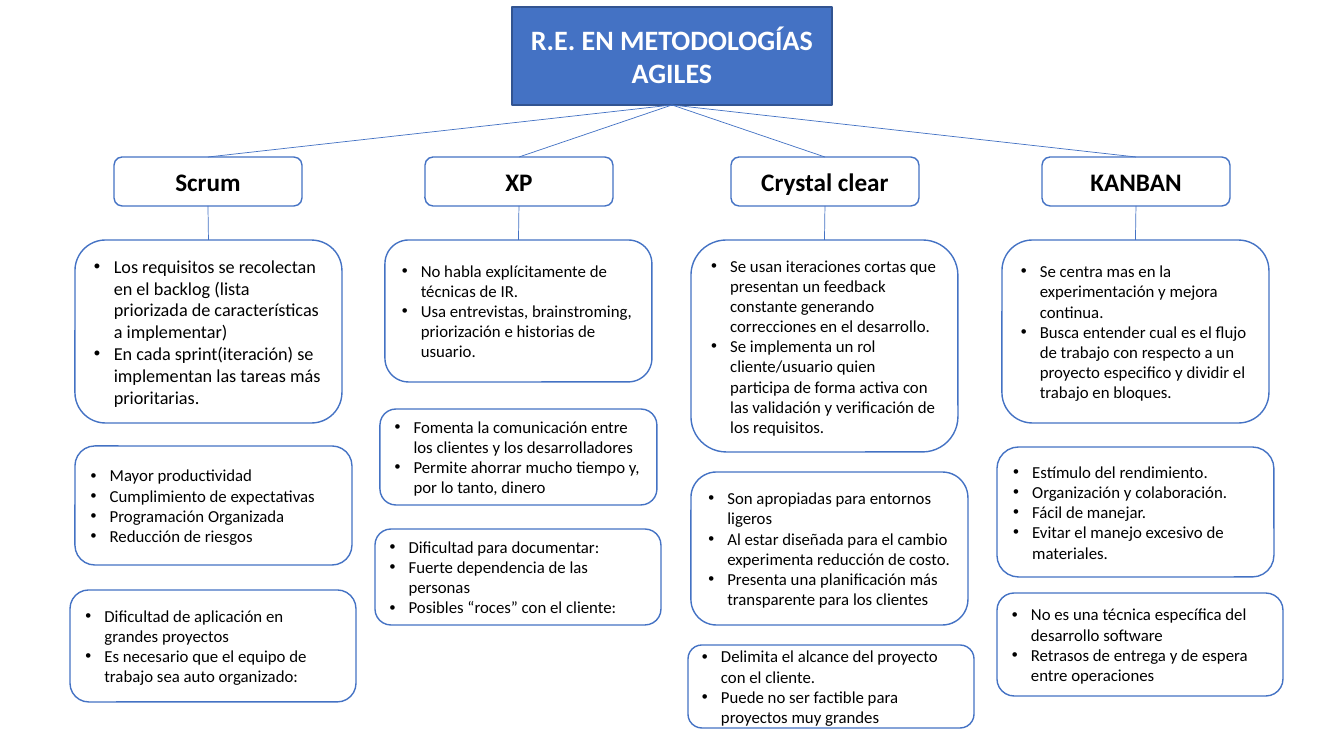
import pptx
import pptx.util
import pptx.dml.color
import pptx.enum.shapes
import pptx.enum.text
import pptx.oxml.ns
import lxml.etree

PX = 914400 / 100.8
FONT = "Calibri"
COLORS = {"blue": "4472C4", "navy": "325491", "white": "FFFFFF", "black": "000000"}
qn = pptx.oxml.ns.qn


def style_box(box, place, fill, line):
    box.left, box.top, box.width, box.height = (round(v * PX) for v in place)
    box.fill.solid()
    box.fill.fore_color.rgb = pptx.dml.color.RGBColor.from_string(COLORS[fill])
    box.line.color.rgb = pptx.dml.color.RGBColor.from_string(COLORS[line])
    box.line.width = pptx.util.Pt(1)
    box.shadow.inherit = False
    box.text_frame.word_wrap = True
    box.text_frame.auto_size = pptx.enum.text.MSO_AUTO_SIZE.NONE
    box.text_frame.vertical_anchor = pptx.enum.text.MSO_ANCHOR.MIDDLE


def write_lines(box, lines, size, color, bold=False, bullets=False):
    box.text_frame.text = "\n".join(lines)
    for paragraph in box.text_frame.paragraphs:
        paragraph.font.name = FONT
        paragraph.font.size = pptx.util.Pt(size)
        paragraph.font.bold = bold
        paragraph.font.color.rgb = pptx.dml.color.RGBColor.from_string(COLORS[color])
        align = pptx.enum.text.PP_ALIGN
        paragraph.alignment = align.LEFT if bullets else align.CENTER
        if bullets:
            properties = paragraph._p.get_or_add_pPr()
            indent = round((size + 7) * PX)
            properties.set("marL", str(indent))
            properties.set("indent", str(-indent))
            bullet_font = lxml.etree.Element(qn("a:buFont"), typeface="Arial")
            bullet = lxml.etree.Element(qn("a:buChar"), char="•")
            properties.insert(0, bullet_font)
            bullet_font.addnext(bullet)


# Each methodology: name, centre, text size of the practices,
# then practices, advantages and drawbacks as (left, top, height, lines)
CARD_WIDTHS = (267, 277, 286)
METHODOLOGIES = [
    ("Scrum", 208, 13, [
        (75, 240, 183, ["Los requisitos se recolectan en el backlog (lista priorizada de "
                        "características a implementar)",
                        "En cada sprint(iteración) se implementan las tareas más prioritarias."]),
        (75, 446, 119, ["Mayor productividad", "Cumplimiento de expectativas",
                        "Programación Organizada", "Reducción de riesgos"]),
        (70, 590, 112, ["Dificultad de aplicación en grandes proyectos",
                        "Es necesario que el equipo de trabajo sea auto organizado:"]),
    ]),
    ("XP", 519, 12, [
        (385, 240, 142, ["No habla explícitamente de técnicas de IR.",
                         "Usa entrevistas, brainstroming, priorización e historias de usuario."]),
        (380, 409, 96, ["Fomenta la comunicación entre los clientes y los desarrolladores",
                        "Permite ahorrar mucho tiempo y, por lo tanto, dinero"]),
        (375, 529, 96, ["Dificultad para documentar:", "Fuerte dependencia de las personas",
                        "Posibles “roces” con el cliente:"]),
    ]),
    ("Crystal clear", 825, 12, [
        (691, 240, 212, ["Se usan iteraciones cortas que presentan un feedback constante "
                         "generando correcciones en el desarrollo.",
                         "Se implementa un rol cliente/usuario quien participa de forma activa "
                         "con las validación y verificación de los requisitos."]),
        (691, 472, 153, ["Son apropiadas para entornos ligeros",
                         "Al estar diseñada para el cambio experimenta reducción de costo.",
                         "Presenta una planificación más transparente para los clientes"]),
        (688, 645, 83, ["Delimita el alcance del proyecto con el cliente.",
                        "Puede no ser factible para proyectos muy grandes"]),
    ]),
    ("KANBAN", 1136, 12, [
        (1002, 240, 183, ["Se centra mas en la experimentación y mejora continua.",
                          "Busca entender cual es el flujo de trabajo con respecto a un proyecto "
                          "especifico y dividir el trabajo en bloques."]),
        (997, 447, 130, ["Estímulo del rendimiento.", "Organización y colaboración.",
                         "Fácil de manejar.", "Evitar el manejo excesivo de materiales."]),
        (997, 593, 103, ["No es una técnica específica del desarrollo software",
                         "Retrasos de entrega y de espera entre operaciones"]),
    ]),
]

presentation = pptx.Presentation()
presentation.slide_width = round(1344 * PX)
presentation.slide_height = round(756 * PX)
slide = presentation.slides.add_slide(presentation.slide_layouts[5])
ROUNDED = pptx.enum.shapes.MSO_SHAPE.ROUNDED_RECTANGLE
STRAIGHT = pptx.enum.shapes.MSO_CONNECTOR.STRAIGHT

# Title as the root of the tree
title = slide.shapes.title
outline = lxml.etree.SubElement(title._element.spPr, qn("a:prstGeom"), prst="roundRect")
lxml.etree.SubElement(outline, qn("a:avLst"))
style_box(title, (512, 7, 320, 98), "blue", "navy")
write_lines(title, ["R.E. EN METODOLOGÍAS AGILES"], 20, "white", bold=True)

for name, centre, practice_size, cards in METHODOLOGIES:
    # Methodology heading
    heading = slide.shapes.add_shape(ROUNDED, 0, 0, 0, 0)
    style_box(heading, (centre - 94, 157, 188, 49), "white", "blue")
    write_lines(heading, [name], 18, "black", bold=True)

    # Practices, advantages and drawbacks
    column = []
    sizes = (practice_size, 12, 12)
    for (left, top, height, lines), width, size in zip(cards, CARD_WIDTHS, sizes):
        card = slide.shapes.add_shape(ROUNDED, 0, 0, 0, 0)
        style_box(card, (left, top, width, height), "white", "blue")
        write_lines(card, lines, size, "black", bullets=True)
        column.append(card)

    # Branches: each child's top joins its parent's bottom
    for child, parent in ((heading, title), (column[0], heading)):
        branch = slide.shapes.add_connector(STRAIGHT, 0, 0, 0, 0)
        branch.begin_connect(child, 0)
        branch.end_connect(parent, 2)
        branch.line.color.rgb = pptx.dml.color.RGBColor.from_string(COLORS["blue"])
        branch.line.width = pptx.util.Pt(0.5)
        lxml.etree.SubElement(branch._element.spPr, qn("a:effectLst"))

presentation.save("out.pptx")
